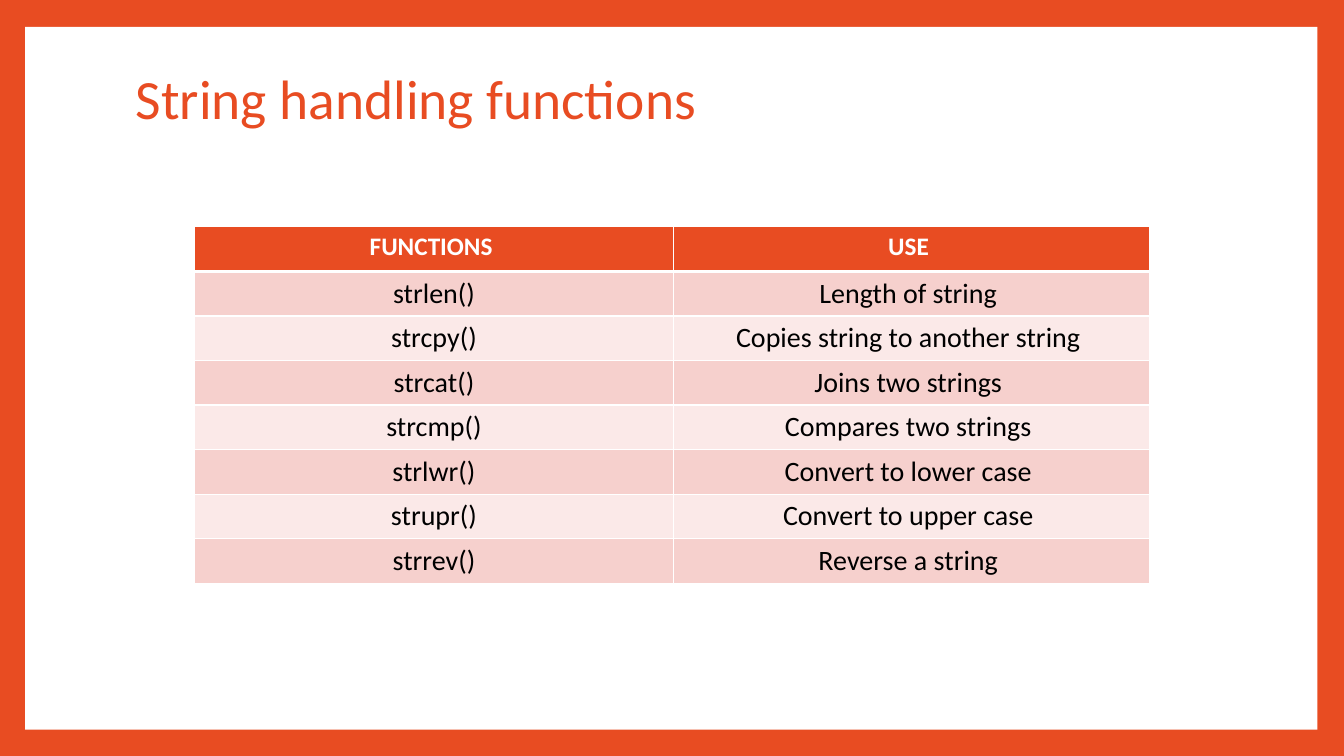
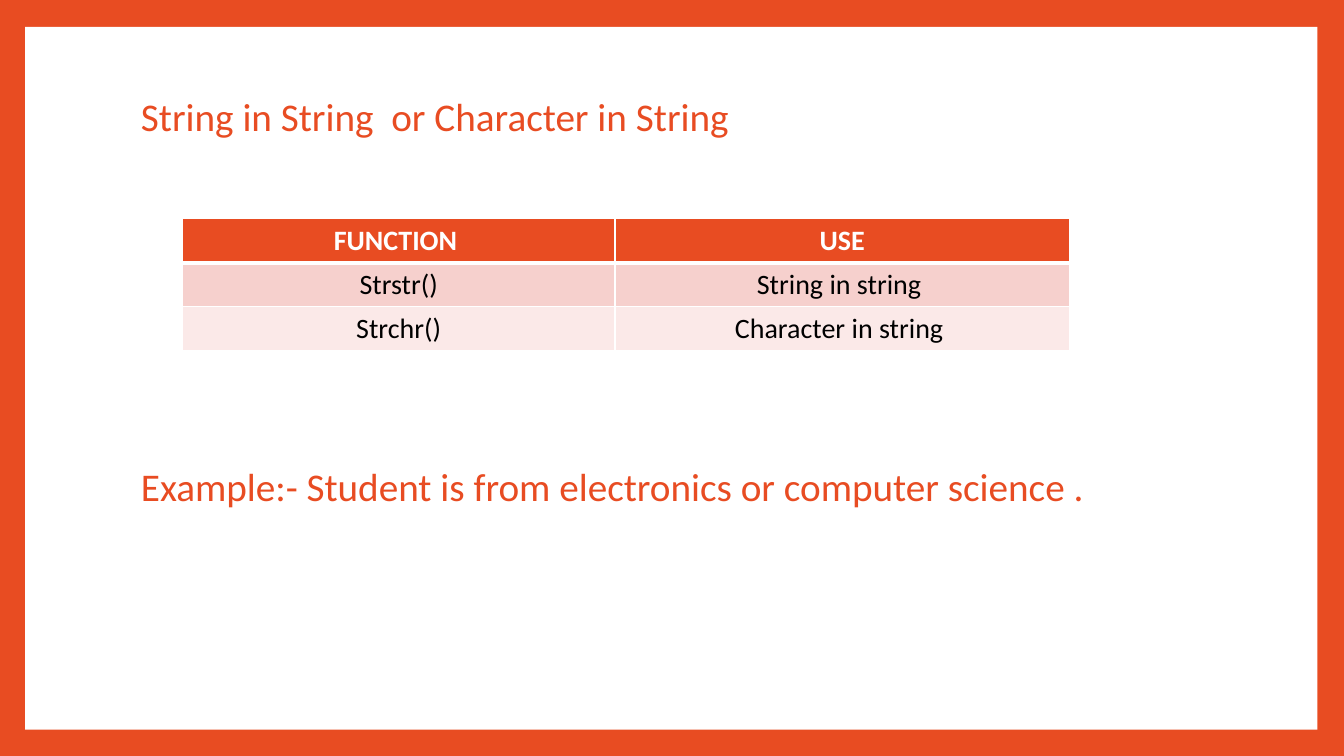
from lxml import etree
from pptx import Presentation
from pptx.dml.color import RGBColor
from pptx.enum import shapes, text
from pptx.oxml import ns
from pptx.util import Pt

ORANGE, WHITE, BLACK = "E84C22", "FFFFFF", "000000"
BANDS = ("F6D0CD", "FBE9E8")
FONT = "Calibri"
WIDTH, HEIGHT = 960, 540


def paint(fill, colour):
    fill.solid()
    fill.fore_color.rgb = RGBColor.from_string(colour)


def write(frame, words, size=20, colour=BLACK, bold=False,
          align=text.PP_ALIGN.LEFT, spacing=1.0):
    para = frame.paragraphs[0]
    para.alignment = align
    para.line_spacing = spacing
    span = para.add_run()
    span.text = words
    span.font.name = FONT
    span.font.size = Pt(size)
    span.font.bold = bold
    span.font.color.rgb = RGBColor.from_string(colour)


def add_page(deck):
    """Add a white page inside an orange frame."""
    page = deck.slides.add_slide(deck.slide_layouts[6])
    paint(page.background.fill, ORANGE)
    panel = page.shapes.add_shape(shapes.MSO_SHAPE.RECTANGLE,
                                  Pt(18), Pt(19.2), Pt(923), Pt(502))
    panel.shadow.inherit = False
    paint(panel.fill, WHITE)
    panel.line.fill.background()
    return page


def add_heading(page, words, left, top, size):
    box = page.shapes.add_textbox(Pt(left), Pt(top), Pt(778), Pt(48))
    frame = box.text_frame
    frame.word_wrap = True
    frame.vertical_anchor = text.MSO_ANCHOR.MIDDLE
    write(frame, words, size=size, colour=ORANGE, spacing=0.9)


def add_borders(cell, **widths):
    """Draw white cell borders; widths in points by side: L, R, T, B."""
    properties = cell._tc.get_or_add_tcPr()
    for side, width in widths.items():
        line = etree.SubElement(properties, ns.qn(f"a:ln{side}"), w=str(Pt(width)))
        solid = etree.SubElement(line, ns.qn("a:solidFill"))
        etree.SubElement(solid, ns.qn("a:srgbClr"), val=WHITE)


def add_function_table(page, rows, left, top, columns, row_height, header_size):
    shape = page.shapes.add_table(len(rows), len(columns), Pt(left), Pt(top),
                                  Pt(sum(columns)), Pt(row_height * len(rows)))
    table = shape.table
    for column, width in zip(table.columns, columns):
        column.width = Pt(width)
    for r, row in enumerate(rows):
        table.rows[r].height = Pt(row_height)
        header = r == 0
        for c, words in enumerate(row):
            cell = table.cell(r, c)
            add_borders(cell, L=1, R=1, T=3 if r == 1 else 1, B=3 if header else 1)
            paint(cell.fill, ORANGE if header else BANDS[(r - 1) % 2])
            write(cell.text_frame, words, size=header_size if header else 20,
                  colour=WHITE if header else BLACK, bold=header,
                  align=text.PP_ALIGN.CENTER)


def add_handling_page(deck):
    page = add_page(deck)
    add_heading(page, "String handling functions", 90, 48.2, 39.6)
    rows = [
        ("FUNCTIONS ", "USE "),
        ("strlen()", "Length of string "),
        ("strcpy()", "Copies string to another string "),
        ("strcat()", "Joins two strings "),
        ("strcmp()", "Compares two strings "),
        ("strlwr()", "Convert to lower case "),
        ("strupr()", "Convert to upper case "),
        ("strrev()", "Reverse a string "),
    ]
    add_function_table(page, rows, 139, 162, (342, 340), 31.86, 18)


def add_search_page(deck):
    page = add_page(deck)
    add_heading(page, "String in String  or Character in String", 93.6, 60.5, 28)
    add_heading(page, "Example:- Student is from electronics or computer science .",
                93.6, 324.8, 28)
    rows = [
        ("FUNCTION ", "USE"),
        ("Strstr()", "String in string "),
        ("Strchr()", "Character in string "),
    ]
    add_function_table(page, rows, 130.3, 156.2, (309, 324.7), 31.5, 20)


def main():
    deck = Presentation()
    deck.slide_width, deck.slide_height = Pt(WIDTH), Pt(HEIGHT)
    add_handling_page(deck)
    add_search_page(deck)
    deck.save("out.pptx")


if __name__ == "__main__":
    main()
